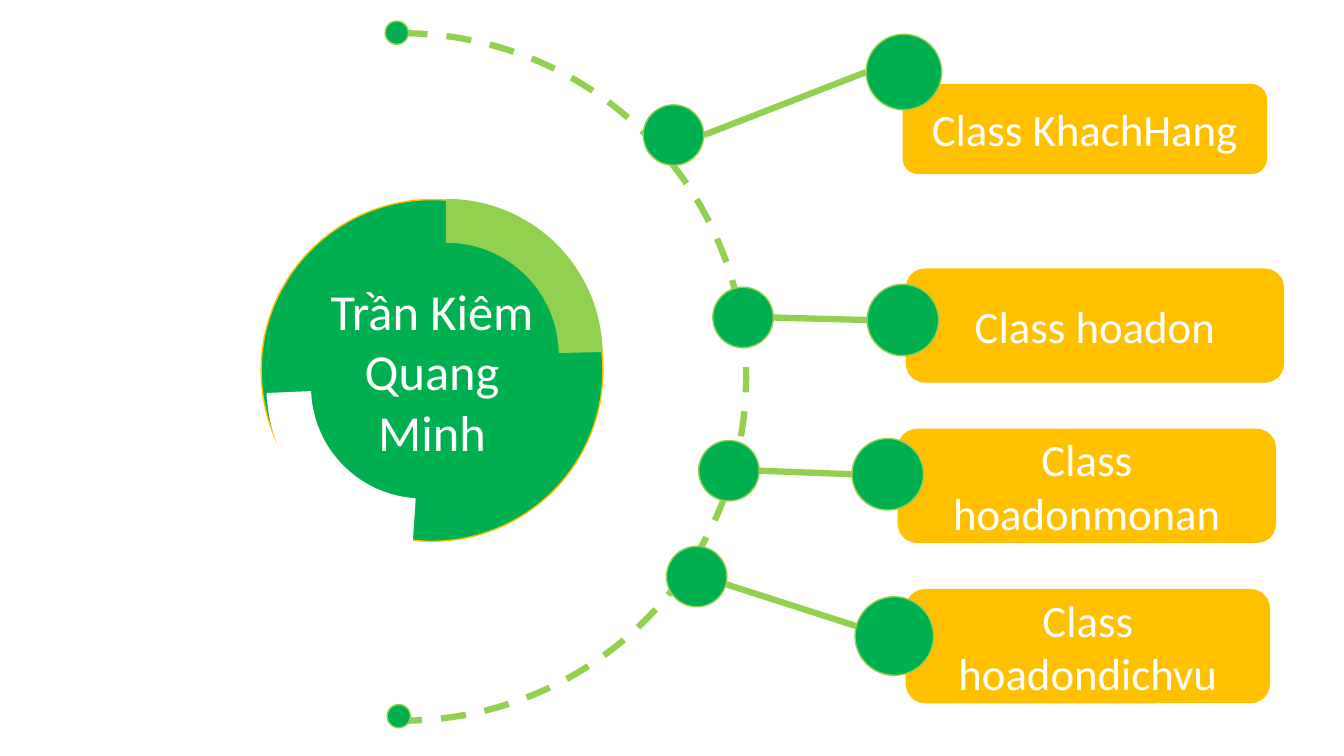
from math import cos, radians, sin

from lxml.etree import SubElement
from pptx import Presentation
from pptx.dml.color import RGBColor
from pptx.enum.dml import MSO_LINE
from pptx.enum.shapes import MSO_CONNECTOR, MSO_SHAPE
from pptx.enum.text import MSO_ANCHOR, PP_ALIGN
from pptx.oxml.ns import qn
from pptx.util import Inches, Pt

COLORS = {"green": "00B050", "lime": "92D050", "amber": "FFC000", "white": "FFFFFF"}
FONT = "Calibri"

# Content: boxes are left, top, width, height; circles are left, top, diameter
CENTER = {"text": "Trần Kiêm Quang Minh", "box": (2.59, 1.98, 3.39, 3.39)}
BRANCHES = [
    {"text": "Class KhachHang", "card": (8.96, 0.84, 3.6, 0.88),
     "inner": (6.38, 1.04, 0.6), "outer": (8.59, 0.34, 0.75), "tilt": 0},
    {"text": "Class hoadon", "card": (8.99, 2.67, 3.74, 1.12),
     "inner": (7.07, 2.85, 0.6), "outer": (8.6, 2.82, 0.71), "tilt": 0},
    {"text": "Class hoadonmonan", "card": (8.91, 4.26, 3.74, 1.12),
     "inner": (6.93, 4.37, 0.6), "outer": (8.45, 4.35, 0.71), "tilt": 0},
    {"text": "Class hoadondichvu", "card": (8.99, 5.85, 3.6, 1.12),
     "inner": (6.61, 5.42, 0.6), "outer": (8.48, 5.92, 0.78), "tilt": 14.7},
]
ORBIT = {"box": (0.58, 0.33, 6.82, 6.82), "angles": (162, 54.85)}
ORBIT_ENDS = [(3.82, 0.21, 0.23), (3.84, 6.99, 0.23)]
RING_ARCS = [
    {"box": (2.89, 1.98, 3.08, 3.08), "color": "lime", "turn": 90,
     "shape": (108, 161.24, 0.137)},
    {"box": (2.65, 2.3, 3.08, 3.08), "color": "white", "turn": 273.8,
     "shape": (108, 158.25, 0.139)},
]

deck = Presentation()
deck.slide_width, deck.slide_height = Inches(13.33), Inches(7.5)
page = deck.slides.add_slide(deck.slide_layouts[6])


def color(name):
    return RGBColor.from_string(COLORS[name])


def add_figure(kind, box, fill, line, width=1, adjustments=(), turn=0):
    figure = page.shapes.add_shape(kind, *map(Inches, box))
    figure.shadow.inherit = False
    figure.rotation = turn
    for index, value in enumerate(adjustments):
        figure.adjustments[index] = value
    if fill:
        figure.fill.solid()
        figure.fill.fore_color.rgb = color(fill)
    else:
        figure.fill.background()
    figure.line.color.rgb = color(line)
    figure.line.width = Pt(width)
    return figure


def add_circle(left, top, size, turn=0):
    add_figure(MSO_SHAPE.OVAL, (left, top, size, size), "green", "lime", turn=turn)


def write(figure, text, size):
    frame = figure.text_frame
    frame.text = text
    frame.word_wrap = True
    frame.vertical_anchor = MSO_ANCHOR.MIDDLE
    para = frame.paragraphs[0]
    para.alignment = PP_ALIGN.CENTER
    font = para.runs[0].font
    font.name, font.size = FONT, Pt(size)
    font.color.rgb = color("white")


def rim_point(circle, angle):
    left, top, size = circle
    radius = size / 2
    return (left + radius + radius * cos(radians(angle)),
            top + radius + radius * sin(radians(angle)))


def add_link(start, end):
    link = page.shapes.add_connector(MSO_CONNECTOR.STRAIGHT, *map(Inches, start + end))
    link.line.color.rgb = color("lime")
    link.line.width = Pt(4.5)
    SubElement(link._element.spPr, qn("a:effectLst"))


# Central disc with its two ring arcs
disc = add_figure(MSO_SHAPE.OVAL, CENTER["box"], "green", "amber")
write(disc, CENTER["text"], 36)
for arc in RING_ARCS:
    add_figure(MSO_SHAPE.BLOCK_ARC, arc["box"], arc["color"], arc["color"],
               adjustments=arc["shape"], turn=arc["turn"])

# Dashed orbit and its end dots
orbit = add_figure(MSO_SHAPE.ARC, ORBIT["box"], None, "lime", 4.5, ORBIT["angles"])
orbit.line.dash_style = MSO_LINE.DASH
for dot in ORBIT_ENDS:
    add_circle(*dot)

# Branches: card, two circles and the link between their rims
for branch in BRANCHES:
    card = add_figure(MSO_SHAPE.ROUNDED_RECTANGLE, branch["card"], "amber", "amber")
    write(card, branch["text"], 32)
    tilt = branch["tilt"]
    add_circle(*branch["outer"], turn=tilt)
    add_circle(*branch["inner"], turn=tilt)
    add_link(rim_point(branch["inner"], tilt), rim_point(branch["outer"], tilt + 180))

deck.save("out.pptx")
